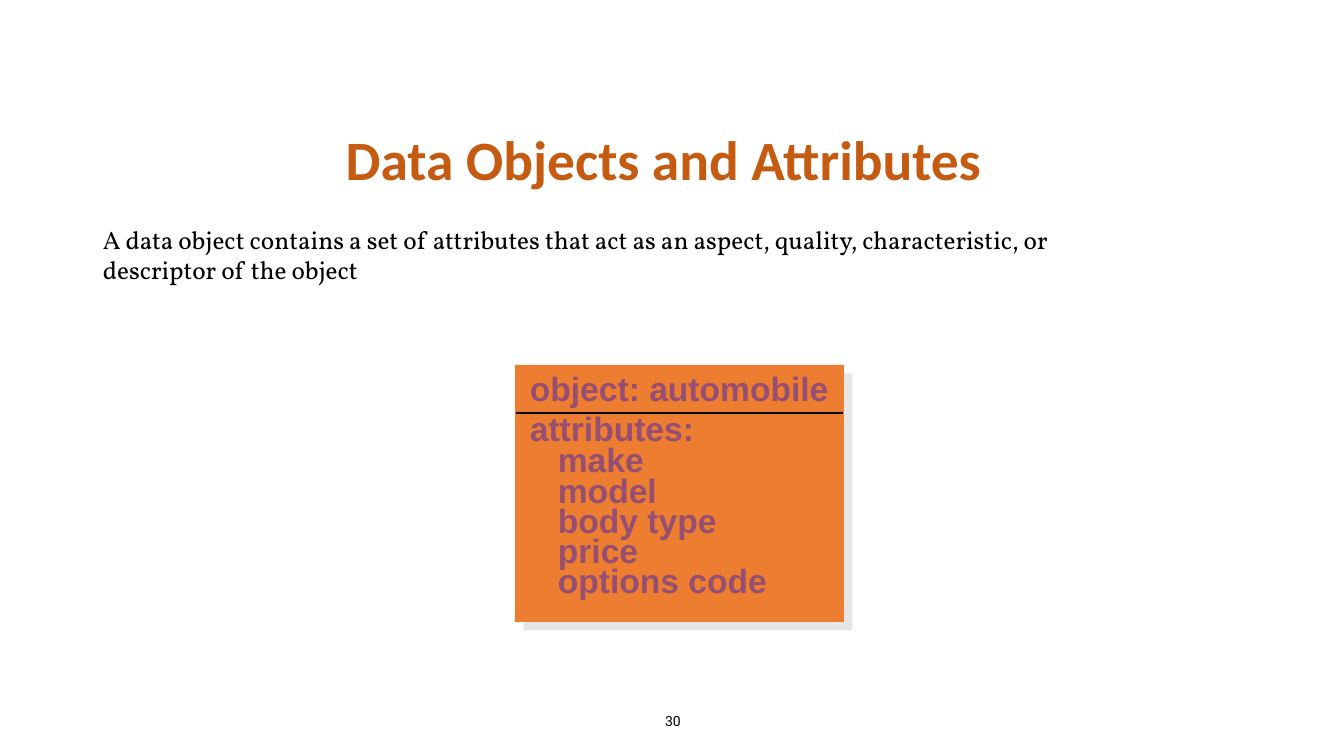
"""Build a slide that shows a data object and its attributes."""
from dataclasses import dataclass

from lxml import etree
from pptx import Presentation
from pptx.dml.color import RGBColor
from pptx.enum.shapes import MSO_CONNECTOR, MSO_SHAPE
from pptx.enum.text import MSO_ANCHOR, MSO_AUTO_SIZE, PP_ALIGN
from pptx.oxml import parse_xml
from pptx.oxml.ns import nsdecls, qn
from pptx.util import Pt

RECTANGLE = MSO_SHAPE.RECTANGLE
STRAIGHT = MSO_CONNECTOR.STRAIGHT
MIDDLE = MSO_ANCHOR.MIDDLE
FIT_TEXT = MSO_AUTO_SIZE.SHAPE_TO_FIT_TEXT
NO_FIT = MSO_AUTO_SIZE.NONE
LEFT, CENTER = PP_ALIGN.LEFT, PP_ALIGN.CENTER

TITLE = "Data Objects and Attributes"
DEFINITION = (
    "A data object contains a set of attributes that act as an aspect, "
    "quality, characteristic, or descriptor of the object"
)
HEADINGS = ["object: automobile", "attributes:"]
ATTRIBUTES = ["make", "model", "body type", "price", "options code"]
SLIDE_NUMBER = "30"

EMU_PER_PX = 914400 / 100.8
SLIDE_SIZE = (1344, 756)
TITLE_BOX = (104, 126, 1119, 73)
DEFINITION_BOX = (93, 219, 1072, 71)
CARD_BOX = (515, 365, 329, 257)
CARD_TEXT_BOX = (520, 363, 322, 244)
NUMBER_BOX = (446, 701, 454, 40)
DIVIDER = (516, 413, 843, 413)
ATTRIBUTE_INDENT = 28


@dataclass(frozen=True)
class TextStyle:
    """Font, size, colour and weight of one kind of text."""
    font: str
    size: float
    color: str
    bold: bool = False


@dataclass(frozen=True)
class Theme:
    """Colours and type styles of the slide."""
    title: TextStyle = TextStyle("Calibri", 39.6, "C55A11", True)
    definition: TextStyle = TextStyle("Vollkorn", 18, "000000")
    card_text: TextStyle = TextStyle("Arial", 24, "954F72", True)
    number: TextStyle = TextStyle("Roboto", 10, "000000")
    card: str = "ED7D31"
    shadow: str = "E7E6E6"
    divider: str = "000000"


THEME = Theme()


def px(*lengths):
    """Turn pixel lengths into EMU."""
    return [round(length * EMU_PER_PX) for length in lengths]


def style_paragraph(paragraph, style, alignment=LEFT, line_spacing=1.0):
    """Apply a text style to a whole paragraph."""
    paragraph.alignment = alignment
    paragraph.line_spacing = line_spacing
    paragraph.font.name = style.font
    paragraph.font.size = Pt(style.size)
    paragraph.font.bold = style.bold
    paragraph.font.color.rgb = RGBColor.from_string(style.color)


def add_text(slide, box, lines, style, alignment=LEFT, wrap=True):
    """Add a text box with one paragraph per line and return its frame."""
    frame = slide.shapes.add_textbox(*px(*box)).text_frame
    frame.word_wrap = wrap
    frame.text = "\n".join(lines)
    for paragraph in frame.paragraphs:
        style_paragraph(paragraph, style, alignment)
    return frame


def add_title(slide):
    """Place and format the title placeholder."""
    title = slide.shapes.title
    title.left, title.top, title.width, title.height = px(*TITLE_BOX)
    frame = title.text_frame
    frame.text = TITLE
    frame.vertical_anchor = MIDDLE
    frame.auto_size = NO_FIT
    style_paragraph(frame.paragraphs[0], THEME.title, CENTER, 0.9)


def add_card(slide):
    """Add the shadowed card, its text and its divider."""
    card = slide.shapes.add_shape(RECTANGLE, *px(*CARD_BOX))
    card.fill.solid()
    card.fill.fore_color.rgb = RGBColor.from_string(THEME.card)
    card.line.fill.background()
    card.shadow.inherit = False
    effects = card.element.spPr.find(qn("a:effectLst"))
    effects.append(parse_xml(
        f'<a:outerShdw {nsdecls("a")} dist="{Pt(8.5)}" dir="2700000" '
        f'algn="ctr" rotWithShape="0"><a:srgbClr val="{THEME.shadow}"/>'
        "</a:outerShdw>"
    ))

    frame = add_text(slide, CARD_TEXT_BOX, HEADINGS + ATTRIBUTES,
                     THEME.card_text, wrap=False)
    frame.auto_size = FIT_TEXT
    for paragraph in frame.paragraphs[len(HEADINGS):]:
        paragraph.line_spacing = 0.75
        properties = paragraph._p.get_or_add_pPr()
        properties.set("marL", str(px(ATTRIBUTE_INDENT)[0]))
        properties.set("indent", "0")

    divider = slide.shapes.add_connector(STRAIGHT, *px(*DIVIDER))
    divider.line.color.rgb = RGBColor.from_string(THEME.divider)
    divider.line.width = Pt(2)
    etree.SubElement(divider.element.spPr, qn("a:effectLst"))


def main():
    """Build and save the presentation."""
    presentation = Presentation()
    presentation.slide_width, presentation.slide_height = px(*SLIDE_SIZE)
    slide = presentation.slides.add_slide(presentation.slide_layouts[5])
    add_title(slide)
    add_text(slide, DEFINITION_BOX, [DEFINITION], THEME.definition)
    add_card(slide)
    number = add_text(slide, NUMBER_BOX, [SLIDE_NUMBER], THEME.number, CENTER)
    number.vertical_anchor = MIDDLE
    presentation.save("out.pptx")


if __name__ == "__main__":
    main()
